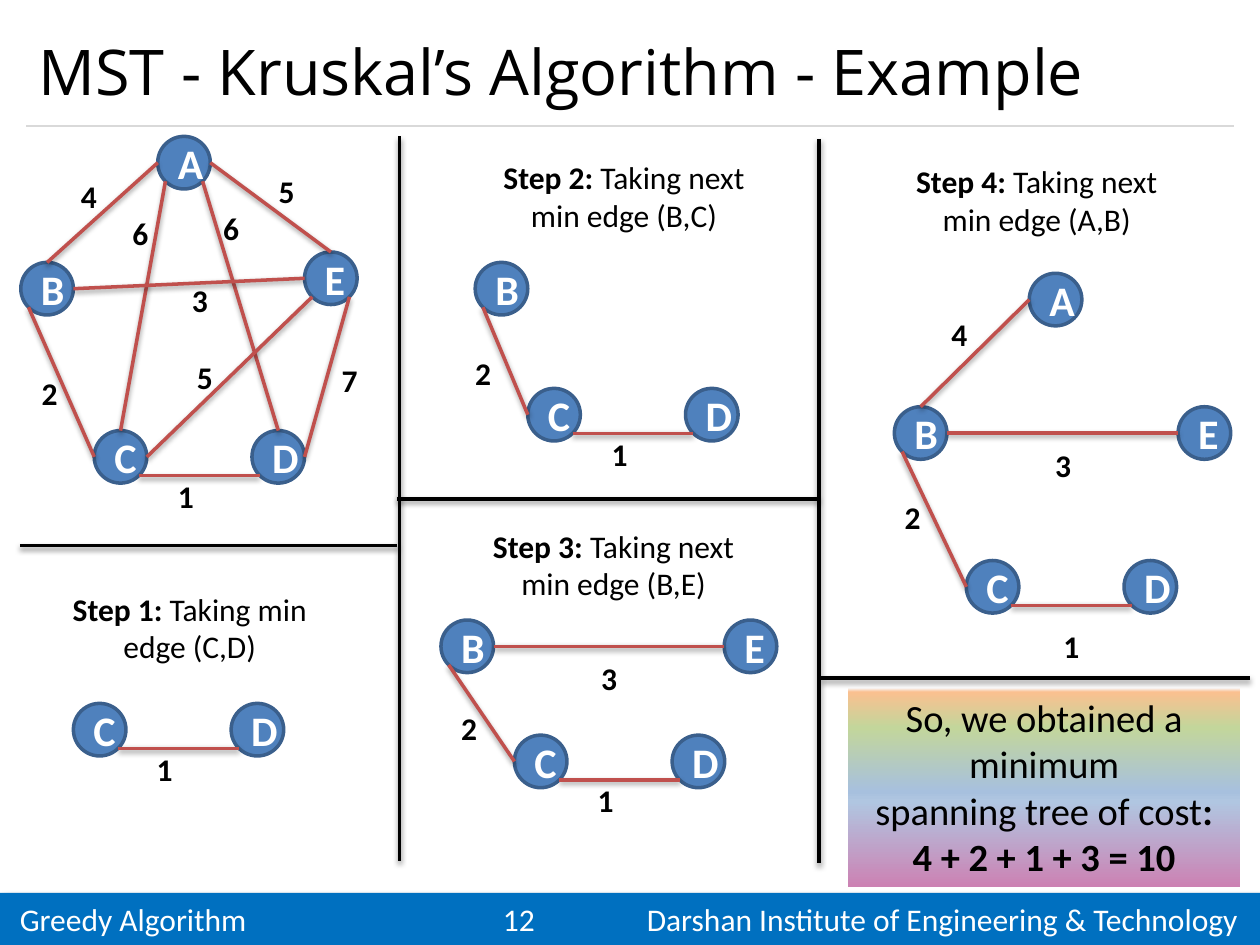
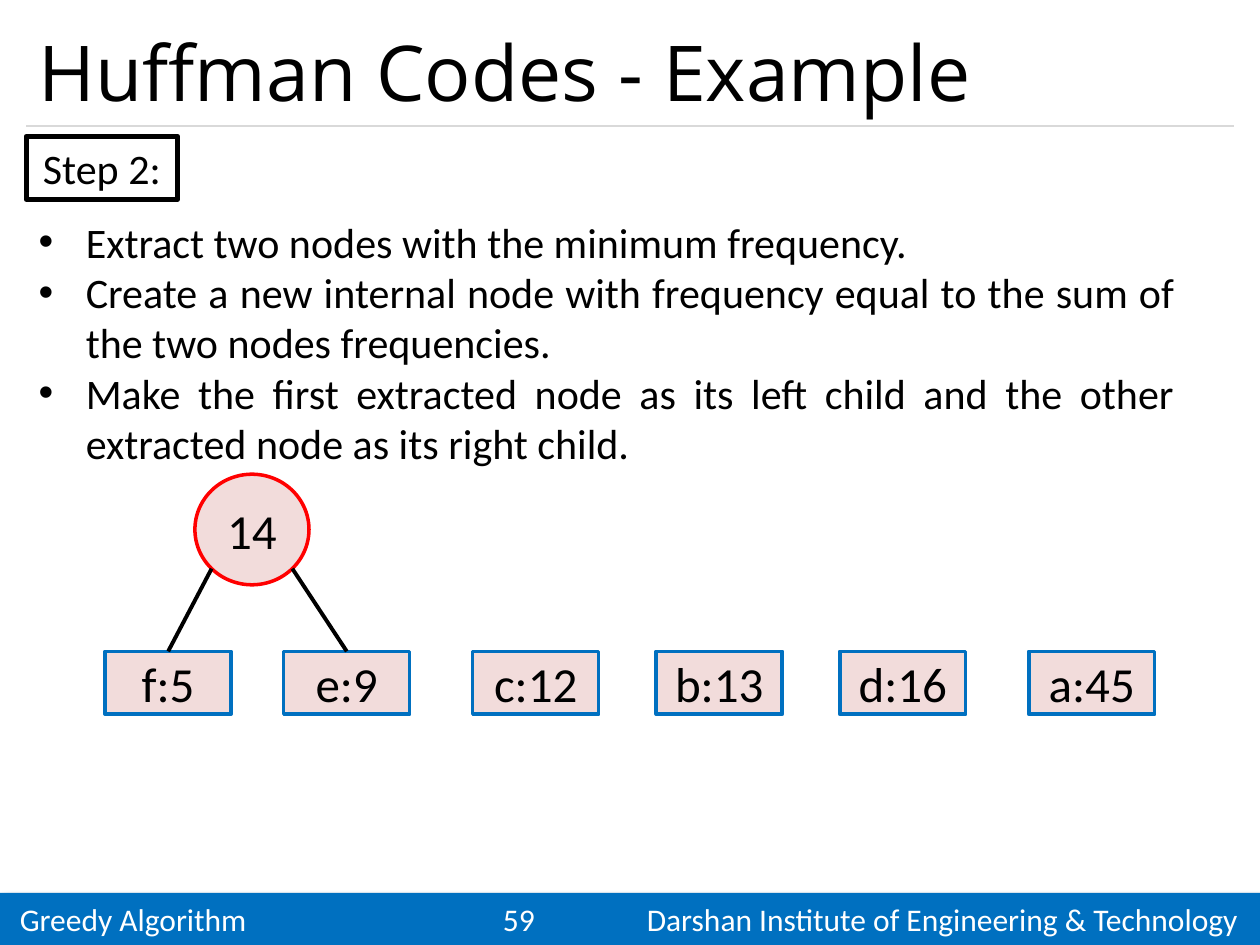
import math

from lxml import etree
from pptx import Presentation
from pptx.dml.color import RGBColor
from pptx.enum import shapes as kinds, text as texts
from pptx.oxml import ns
from pptx.util import Cm, Pt

BLACK = RGBColor(0x00, 0x00, 0x00)
WHITE = RGBColor(0xFF, 0xFF, 0xFF)
BLUE = RGBColor(0x00, 0x70, 0xC0)
GREY = RGBColor(0xD9, 0xD9, 0xD9)
NODE = RGBColor(0x4F, 0x81, 0xBD)
RIM = RGBColor(0x3A, 0x5F, 0x8C)
EDGE = RGBColor(0xC0, 0x50, 0x4D)
PINK = RGBColor(0xF2, 0xDC, 0xDB)
RED = RGBColor(0xFF, 0x00, 0x00)
RAINBOW = [(0, RGBColor(0xF6, 0xF9, 0xFC)), (2, RGBColor(0xFA, 0xC0, 0x90)),
           (20, RGBColor(0xC3, 0xD6, 0x9B)), (52, RGBColor(0xA7, 0xC0, 0xDE)),
           (57, RGBColor(0xB0, 0xC6, 0xE1)), (100, RGBColor(0xCC, 0x82, 0xB3))]

BODY, HEAD = "Calibri", "Open Sans"
LEFT, CENTER, JUSTIFY = (texts.PP_ALIGN.LEFT, texts.PP_ALIGN.CENTER,
                         texts.PP_ALIGN.JUSTIFY)
TOP, MIDDLE = texts.MSO_ANCHOR.TOP, texts.MSO_ANCHOR.MIDDLE
RECT, OVAL = kinds.MSO_SHAPE.RECTANGLE, kinds.MSO_SHAPE.OVAL

WIDE, HIGH = 25.4, 19.05
MARGIN = 0.53
ROUND = 1.06  # node diameter
SOFT = (38, 3.1, 1.6, 90)  # alpha %, blur pt, distance pt, angle
DEEP = (40, 4, 3, 45)

# Clockwise angle of each point where an edge can meet a node
SITES = {"e": 0, "se": 45, "s": 90, "sw": 135, "w": 180, "n": 270}
# Weight of each edge, and the site it uses on its first and second node
EDGES = {
    "AB": (4, "w", "n"), "BC": (2, "sw", "w"), "CD": (1, "se", "sw"),
    "AE": (5, "e", "n"), "ED": (7, "se", "e"), "AC": (6, "sw", "n"),
    "AD": (6, "se", "n"), "CE": (5, "e", "sw"), "BE": (3, "e", "w"),
}


def sub(parent, tag, **attrs):
    """Append a drawing element and return it."""
    item = etree.SubElement(parent, ns.qn(tag))
    for name, value in attrs.items():
        item.set(name, str(value))
    return item


def shade(effects, alpha, blur, dist, angle):
    """Add an outer black shadow to an effect list."""
    outer = sub(effects, "a:outerShdw", blurRad=Pt(blur), dist=Pt(dist),
                dir=angle * 60000, rotWithShape=0)
    sub(sub(outer, "a:srgbClr", val=BLACK), "a:alpha", val=alpha * 1000)


def write(shape, lines, size, color=BLACK, align=CENTER, anchor=MIDDLE,
          font=BODY, wrap=True):
    """Fill a shape with lines; text between ** marks is bold."""
    frame = shape.text_frame
    frame.word_wrap = wrap
    frame.vertical_anchor = anchor
    for i, line in enumerate(lines):
        para = frame.add_paragraph() if i else frame.paragraphs[0]
        para.alignment = align
        for j, part in enumerate(line.split("**")):
            if part:
                run = para.add_run()
                run.text = part
                run.font.bold = j % 2 == 1
                run.font.size = Pt(size)
                run.font.name = font
                run.font.color.rgb = color


def label(slide, box, lines, size, **style):
    area = slide.shapes.add_textbox(*map(Cm, box))
    write(area, lines, size, **style)
    return area


def block(slide, kind, box, fill=None, rim=None, width=2):
    shape = slide.shapes.add_shape(kind, *map(Cm, box))
    shape.shadow.inherit = False
    if fill is None:
        shape.fill.background()
    else:
        shape.fill.solid()
        shape.fill.fore_color.rgb = fill
    if rim is None:
        shape.line.fill.background()
    else:
        shape.line.color.rgb = rim
        shape.line.width = Pt(width)
    return shape


def line(slide, start, end, color, width=2.0, shadow=None):
    """Draw a straight line between two points in EMU."""
    link = slide.shapes.add_connector(kinds.MSO_CONNECTOR.STRAIGHT,
                                      *start, *end)
    link.line.color.rgb = color
    link.line.width = Pt(width)
    effects = sub(link._element.spPr, "a:effectLst")
    if shadow:
        shade(effects, *shadow)
    return link


def site(oval, name):
    """Point on the rim of an oval, in EMU."""
    turn = math.radians(SITES[name])
    return (round(oval.left + oval.width / 2 * (1 + math.cos(turn))),
            round(oval.top + oval.height / 2 * (1 + math.sin(turn))))


def footer(slide, number):
    band = block(slide, RECT, (0, 18, WIDE, HIGH - 18), BLUE)
    shade(band._element.spPr.find(ns.qn("a:effectLst")), *DEEP)
    band.text_frame.margin_left = Cm(0.4)
    tabs = sub(band.text_frame.paragraphs[0]._p.get_or_add_pPr(), "a:tabLst")
    for pos, side in ((10.06, "ctr"), (24.56, "r")):
        sub(tabs, "a:tab", pos=Cm(pos), algn=side)
    write(band, [f"Greedy Algorithm\t{number}\t"
                 "Darshan Institute of Engineering & Technology"],
          18, WHITE, LEFT)


def frame(deck, title, size, number):
    """Add a slide with the shared title, rule and footer."""
    slide = deck.slides.add_slide(deck.slide_layouts[6])
    footer(slide, number)
    line(slide, (Cm(MARGIN), Cm(2.54)), (Cm(WIDE - MARGIN), Cm(2.54)),
         GREY, 0.75)
    label(slide, (MARGIN, 0.3, WIDE - 2 * MARGIN, 2.24), [title], size,
          align=LEFT, font=HEAD)
    return slide


def graph(slide, origin, nodes, tags, caption=None):
    """Draw nodes, edges and weights, all placed from the origin."""
    x, y = origin
    ovals = {}
    for name, (dx, dy) in nodes.items():
        oval = block(slide, OVAL, (x + dx, y + dy, ROUND, ROUND), NODE, RIM)
        write(oval, [f"**{name}**"], 24, WHITE)
        ovals[name] = oval
    for pair, (dx, dy) in tags.items():
        weight, first, last = EDGES[pair]
        line(slide, site(ovals[pair[0]], first), site(ovals[pair[1]], last),
             EDGE, shadow=SOFT)
        label(slide, (x + dx, y + dy, 0.84, 1.02), [f"**{weight}**"], 18,
              anchor=TOP, wrap=False)
    if caption:
        (dx, dy, width), lines = caption
        label(slide, (x + dx, y + dy, width, 1.8), lines, 18, anchor=TOP)


def rules(slide):
    """Draw the lines between the panels."""
    for x1, y1, x2, y2 in ((8.05, 2.75, 8.05, 17.35),
                           (16.51, 2.8, 16.51, 17.4),
                           (0.4, 11, 8, 11), (8, 10.06, 16.51, 10.06),
                           (16.56, 13.67, 25.2, 13.67)):
        line(slide, (Cm(x1), Cm(y1)), (Cm(x2), Cm(y2)), BLACK, shadow=SOFT)


def result(slide, box):
    card = block(slide, RECT, box)
    card.fill.gradient()
    card.fill.gradient_angle = 270
    stops = card._element.spPr.find(".//" + ns.qn("a:gsLst"))
    for stop in list(stops):
        stops.remove(stop)
    for pos, color in RAINBOW:
        sub(sub(stops, "a:gs", pos=pos * 1000), "a:srgbClr", val=color)
    write(card, ["So, we obtained a minimum", "spanning tree of cost**:**",
                 "**4 + 2 + 1 + 3 = 10**"], 22, anchor=TOP)


def kruskal(deck):
    slide = frame(deck, "MST - Kruskal’s Algorithm - Example", 36, 12)
    graph(slide, (0.4, 2.75),
          {"A": (2.78, 0), "B": (0.02, 2.54), "C": (1.5, 5.93),
           "D": (4.68, 5.93), "E": (5.74, 2.33)},
          {"AB": (0.97, 0.7), "BC": (0.18, 4.67), "CD": (2.93, 6.75),
           "AE": (4.96, 0.6), "ED": (6.23, 4.41), "AC": (2.01, 1.44),
           "AD": (3.84, 1.34), "CE": (3.31, 4.34), "BE": (3.21, 2.79)})
    graph(slide, (0.4, 11),
          {"C": (1.08, 3.18), "D": (4.26, 3.18)}, {"CD": (2.5, 3.99)},
          ((0.72, 0.76, 5.41), ["**Step 1:** Taking min", "edge (C,D)"]))
    graph(slide, (8.05, 2.75),
          {"B": (1.53, 2.54), "C": (2.59, 5.08), "D": (5.77, 5.08)},
          {"BC": (1.27, 4.26), "CD": (4.02, 5.89)},
          ((1.75, 0.32, 5.56), ["**Step 2:** Taking next", "min edge (B,C)"]))
    graph(slide, (8.05, 10.06),
          {"B": (0.84, 2.44), "C": (2.32, 4.76), "D": (5.5, 4.76),
           "E": (6.55, 2.44)},
          {"BC": (0.99, 4.11), "CD": (3.74, 5.56), "BE": (3.81, 3.1)},
          ((1.27, 0.43, 6.1), ["**Step 3:** Taking next", "min edge (B,E)"]))
    graph(slide, (16.51, 2.75),
          {"A": (4.24, 2.76), "B": (1.52, 5.45), "C": (2.97, 8.55),
           "D": (6.15, 8.55), "E": (7.24, 5.45)},
          {"BC": (1.47, 7.16), "CD": (4.67, 9.77), "BE": (4.5, 6.11),
           "AB": (2.41, 3.47)},
          ((1.42, 0.4, 5.94), ["**Step 4:** Taking next", "min edge (A,B)"]))
    rules(slide)
    result(slide, (17.1, 13.87, 7.9, 4.01))


def bullets(slide, box, lines):
    area = label(slide, box, lines, 24, align=JUSTIFY, anchor=TOP)
    for para in area.text_frame.paragraphs:
        props = para._p.get_or_add_pPr()
        props.set("marL", str(Cm(0.95)))
        props.set("indent", str(-Cm(0.95)))
        sub(props, "a:buFont", typeface="Arial")
        sub(props, "a:buChar", char="•")


def tree(slide, x, y):
    """Draw the row of leaves and the parent of the first two."""
    leaves = []
    for dx, name in ((0, "f:5"), (3.6, "e:9"), (7.41, "c:12"),
                     (11.11, "b:13"), (14.81, "d:16"), (18.62, "a:45")):
        leaf = block(slide, RECT, (x + dx, y + 3.57, 2.54, 1.27), PINK, BLUE)
        write(leaf, [name], 28)
        leaves.append(leaf)
    root = block(slide, OVAL, (x + 1.81, y, 2.3, 2.23), PINK, RED)
    write(root, ["14"], 28)
    for leaf, side in zip(leaves, ("sw", "se")):
        start = site(root, side)
        line(slide, start, start, BLACK, 2.25).end_connect(leaf, 0)


def huffman(deck):
    slide = frame(deck, "Huffman Codes - Example", 44, 59)
    step = block(slide, RECT, (MARGIN, 2.75, 3.05, 1.27), None, BLACK, 3)
    write(step, ["Step 2:"], 24)
    bullets(slide, (MARGIN, 4.23, 23.4, 5.4), [
        "Extract two nodes with the minimum frequency.",
        "Create a new internal node with frequency equal to the sum of "
        "the two nodes frequencies.",
        "Make the first extracted node as its left child and the other "
        "extracted node as its right child."])
    tree(slide, 2.12, 9.56)


def main():
    deck = Presentation()
    deck.slide_width, deck.slide_height = Cm(WIDE), Cm(HIGH)
    kruskal(deck)
    huffman(deck)
    deck.save("out.pptx")


if __name__ == "__main__":
    main()
